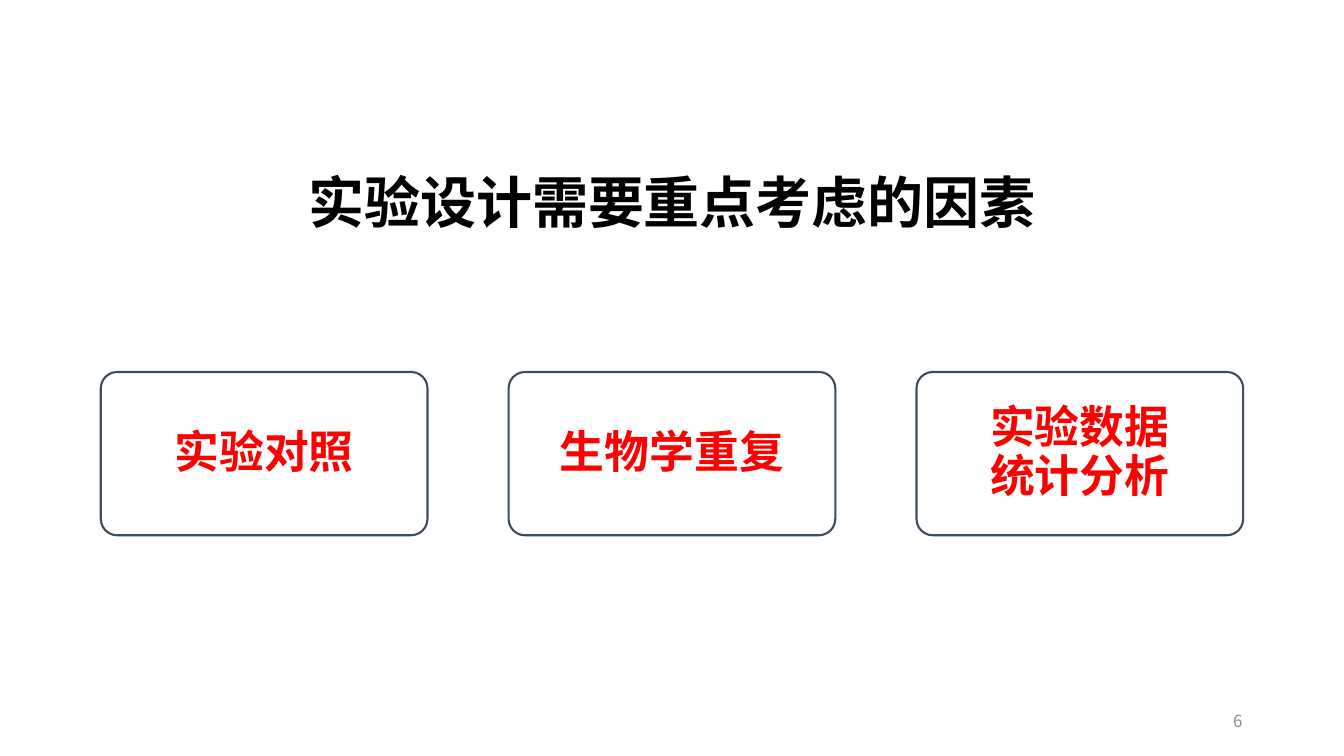
from lxml.etree import SubElement
from pptx import Presentation
from pptx.dml.color import RGBColor
from pptx.enum.shapes import MSO_SHAPE as Preset
from pptx.enum.text import MSO_ANCHOR as Anchor, PP_ALIGN as Align
from pptx.oxml.ns import qn
from pptx.util import Inches, Pt

FONT = "Noto Sans CJK SC"
BLACK = RGBColor(0x00, 0x00, 0x00)
WHITE = RGBColor(0xFF, 0xFF, 0xFF)
RED = RGBColor(0xFF, 0x00, 0x00)
SLATE = RGBColor(0x3E, 0x4C, 0x60)
GRAY = RGBColor(0x8C, 0x8C, 0x8C)


def write(shape, text, size, color, bold, align):
    """Fill a shape with one vertically centred paragraph and return it."""
    frame = shape.text_frame
    frame.text = text
    frame.word_wrap = True
    frame.vertical_anchor = Anchor.MIDDLE
    paragraph = frame.paragraphs[0]
    paragraph.alignment = align
    for run in paragraph.runs:
        run.font.size = Pt(size)
        run.font.bold = bold
        run.font.color.rgb = color
        run.font.name = FONT
        SubElement(run.font._element, qn("a:ea"), typeface=FONT)
    return paragraph


prs = Presentation()
prs.slide_width, prs.slide_height = Inches(13.33), Inches(7.5)
slide = prs.slides.add_slide(prs.slide_layouts[5])

title = slide.shapes.title
title.left, title.top = Inches(1.78), Inches(1.16)
title.width, title.height = Inches(9.77), Inches(1.33)
heading = write(title, "实验设计需要重点考虑的因素", 40, BLACK, True, Align.CENTER)
heading.line_spacing = 1.5

factors = ["实验对照", "生物学重复", "实验数据\v统计分析"]
for i, factor in enumerate(factors):
    card = slide.shapes.add_shape(
        Preset.ROUNDED_RECTANGLE,
        Inches(1 + 4.045 * i), Inches(3.69), Inches(3.24), Inches(1.62))
    card.adjustments[0] = 0.1
    card.shadow.inherit = False
    card.fill.solid()
    card.fill.fore_color.rgb = WHITE
    card.line.color.rgb = SLATE
    card.line.width = Pt(1.5)
    frame = card.text_frame
    frame.margin_left = frame.margin_right = Inches(0.07)
    frame.margin_top = frame.margin_bottom = Inches(0.04)
    label = write(card, factor, 32, RED, True, Align.CENTER)
    label.line_spacing = 0.9

page_number = slide.shapes.add_textbox(
    Inches(9.42), Inches(6.95), Inches(3), Inches(0.4))
write(page_number, "6", 12, GRAY, False, Align.RIGHT)

prs.save("out.pptx")
